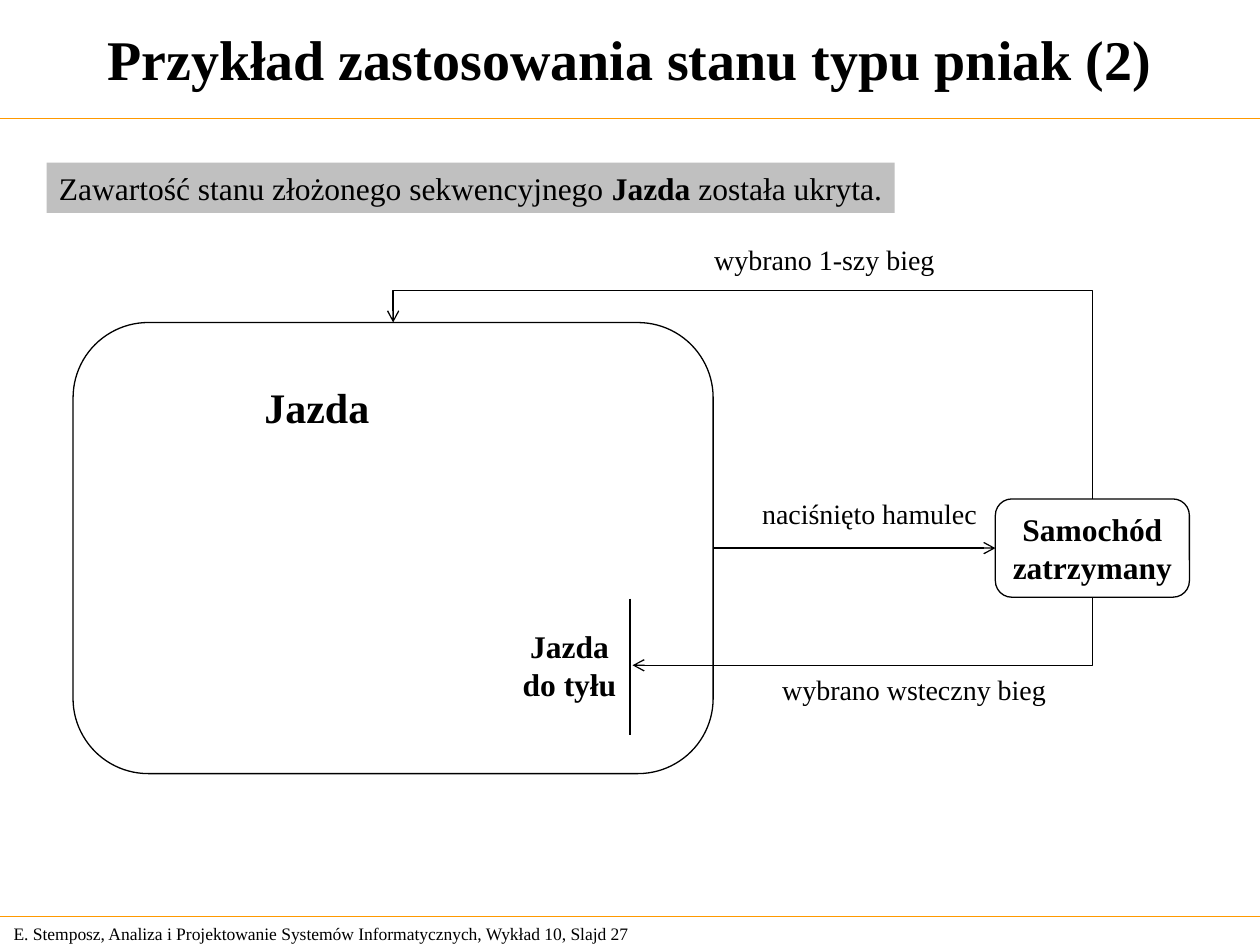
import pptx
import pptx.dml.color
import pptx.enum.shapes
import pptx.enum.text
import pptx.oxml
import pptx.oxml.ns
import pptx.util

RGB = pptx.dml.color.RGBColor
BLACK = RGB(0x00, 0x00, 0x00)
WHITE = RGB(0xFF, 0xFF, 0xFF)
ORANGE = RGB(0xFF, 0x99, 0x00)
GREY = RGB(0xC0, 0xC0, 0xC0)

SHAPE = pptx.enum.shapes.MSO_SHAPE
CONNECTOR = pptx.enum.shapes.MSO_CONNECTOR
ANCHOR = pptx.enum.text.MSO_ANCHOR
ALIGN = pptx.enum.text.PP_ALIGN
AUTO_SIZE = pptx.enum.text.MSO_AUTO_SIZE
FONT = "Times New Roman"
COLS, ROWS = 100, 75
CELL = pptx.util.Inches(0.1)
TOP, LEFT, BOTTOM, RIGHT = range(4)


def grid(*cells):
    return [round(c * CELL) for c in cells]


def place(box, x, y, *size):
    """Turn cells counted from the corner of box into lengths on the slide."""
    return grid(box[0] + x, box[1] + y, *size)


def write(sp, lines, size, bold=False, align=ALIGN.LEFT, anchor=ANCHOR.TOP,
          wrap=False):
    """Fill sp with lines, each a list of (text, bold) runs or a string."""
    tf = sp.text_frame
    fit = AUTO_SIZE.NONE if wrap else AUTO_SIZE.SHAPE_TO_FIT_TEXT
    layout = {"word_wrap": wrap, "vertical_anchor": anchor, "auto_size": fit}
    for name, value in layout.items():
        setattr(tf, name, value)
    for i, line in enumerate(lines):
        p = tf.add_paragraph() if i else tf.paragraphs[0]
        p.alignment = align
        for text, heavy in [(line, bold)] if isinstance(line, str) else line:
            r = p.add_run()
            r.text = text
            fmt = {"name": FONT, "size": pptx.util.Pt(size), "bold": heavy}
            for name, value in fmt.items():
                setattr(r.font, name, value)
            r.font.color.rgb = BLACK


def add_block(s, kind, bounds, fill=None, line=None):
    sp = s.shapes.add_shape(kind, *bounds)
    sp.shadow.inherit = False
    for part, color in ((sp.fill, fill), (sp.line.fill, line)):
        if color is None:
            part.background()
        else:
            part.solid()
            part.fore_color.rgb = color
    if line is not None:
        sp.line.width = pptx.util.Pt(0.75)
    return sp


def add_line(s, start, end, color=BLACK, arrow=False, kind=CONNECTOR.STRAIGHT):
    c = s.shapes.add_connector(kind, *start, *end)
    c.line.color.rgb = color
    c.line.width = pptx.util.Pt(0.75)
    spPr = c._element.spPr
    if arrow:
        ns = pptx.oxml.ns.nsdecls("a")
        spPr.find(pptx.oxml.ns.qn("a:ln")).append(
            pptx.oxml.parse_xml(f'<a:tailEnd {ns} type="arrow"/>'))
    spPr.append(spPr.makeelement(pptx.oxml.ns.qn("a:effectLst"), {}))
    return c


def add_elbow(s, start, end, preset, adjust=None):
    """Arrow that leaves start vertically, towards an end further left."""
    c = add_line(s, start, end, arrow=True, kind=CONNECTOR.ELBOW)
    (x1, y1), (x2, y2) = start, end
    w, h = abs(y2 - y1), abs(x2 - x1)
    down = y2 > y1
    xfrm = c._element.spPr.xfrm
    for name in ("flipH", "flipV"):
        xfrm.attrib.pop(name, None)
    xfrm.set("rot", str((90 if down else 270) * 60000))
    if not down:
        xfrm.set("flipV", "1")
    c.left, c.top = (x1 + x2 - w) // 2, (y1 + y2 - h) // 2
    c.width, c.height = w, h
    geom = c._element.spPr.find(pptx.oxml.ns.qn("a:prstGeom"))
    geom.set("prst", preset)
    if adjust is not None:
        av = geom.find(pptx.oxml.ns.qn("a:avLst"))
        gd = {"name": "adj1", "fmla": f"val {round(adjust * 100000)}"}
        av.append(av.makeelement(pptx.oxml.ns.qn("a:gd"), gd))


def draw_frame(s, box):
    """Title, footer and the two rules across the page."""
    w, h = box[2:]
    foot = h - 2.25
    for y in (9.42, foot):
        add_line(s, place(box, 0, y), place(box, w, y), ORANGE)
    title = s.shapes.add_textbox(*place(box, 0, 0, w, 9.2))
    write(title, ["Przykład zastosowania stanu typu pniak (2)"], 32, bold=True,
          align=ALIGN.CENTER, anchor=ANCHOR.MIDDLE, wrap=True)
    footer = s.shapes.add_textbox(*place(box, 0.1, foot, 52.4, 2.7))
    write(footer, ["E. Stemposz, Analiza i Projektowanie Systemów "
                   "Informatycznych, Wykład 10, Slajd 27"], 10,
          anchor=ANCHOR.MIDDLE)


def draw_note(s, box):
    sp = add_block(s, SHAPE.RECTANGLE, grid(*box), fill=GREY)
    write(sp, [[("Zawartość stanu złożonego sekwencyjnego ", False),
                ("Jazda ", True), ("została ukryta.", False)]], 18)


def draw_states(s, box):
    """State diagram: driving, stopped car and the stub state."""
    drive = add_block(s, SHAPE.ROUNDED_RECTANGLE,
                      place(box, 0, 6.9, 50.8, 35.8), WHITE, BLACK)
    stopped = add_block(s, SHAPE.ROUNDED_RECTANGLE,
                        place(box, 73.2, 20.9, 15.4, 7.8), WHITE, BLACK)
    stub = add_block(s, SHAPE.ROUNDED_RECTANGLE,
                     place(box, 34.3, 30.2, 10.2, 7.8))
    for sp, lines in ((stopped, ["Samochód", "zatrzymany"]),
                      (stub, ["Jazda", "do tyłu"])):
        write(sp, lines, 18, bold=True, align=ALIGN.CENTER,
              anchor=ANCHOR.MIDDLE)
    add_line(s, place(box, 44.2, 28.8), place(box, 44.2, 39.6))

    brake = add_line(s, place(box, 50.8, 24.8), place(box, 73.2, 24.8),
                     arrow=True)
    brake.begin_connect(drive, RIGHT)
    brake.end_connect(stopped, LEFT)
    middle = stopped.left + stopped.width // 2
    add_elbow(s, (middle, stopped.top + stopped.height),
              place(box, 44.4, 34.1), "bentConnector2")
    add_elbow(s, (middle, stopped.top),
              (drive.left + drive.width // 2, drive.top),
              "bentConnector3", 1.18)

    for text, size, bold, cells in (
            ("Jazda", 24, True, (14.2, 11.1, 10.3, 5)),
            ("wybrano wsteczny bieg", 16, False, (55.3, 34.2, 22.9, 3.7)),
            ("naciśnięto hamulec", 16, False, (53.7, 20.25, 19.2, 3.7)),
            ("wybrano 1-szy bieg", 16, False, (49.9, 0.05, 19.5, 3.7))):
        write(s.shapes.add_textbox(*place(box, *cells)), [text], size, bold)


def main():
    prs = pptx.Presentation()
    prs.slide_width, prs.slide_height = grid(COLS, ROWS)
    s = prs.slides.add_slide(prs.slide_layouts[6])
    draw_frame(s, (0, 0, COLS, ROWS))
    draw_states(s, (5.8, 18.7, 88.6, 42.7))
    draw_note(s, (3.7, 12.9, 67.3, 4))
    prs.save("out.pptx")


if __name__ == "__main__":
    main()
